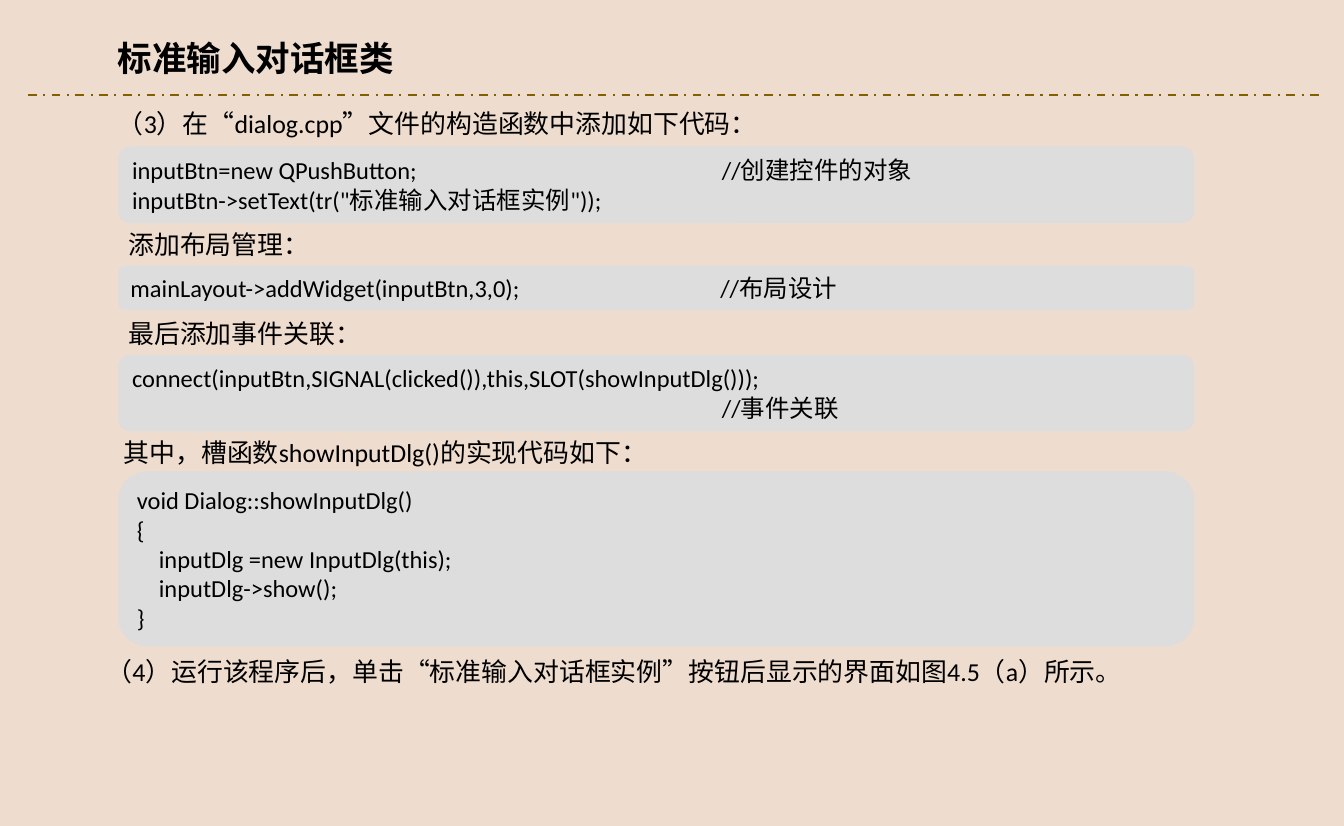
from pptx import Presentation
from pptx.dml.color import RGBColor
from pptx.enum.dml import MSO_LINE
from pptx.enum.shapes import MSO_CONNECTOR, MSO_SHAPE
from pptx.enum.text import MSO_ANCHOR, MSO_AUTO_SIZE, PP_ALIGN
from pptx.oxml.ns import qn
from pptx.util import Pt
from lxml.etree import SubElement

FONT = "Calibri"
CODE_LEFT, CODE_WIDTH = 82.2, 749
COMMENT_TAB = 410.5


def color(value):
    """Turn a hex string into a colour."""
    return RGBColor.from_string(value)


def format_para(para, text, size=18, bold=False):
    """Write one left-aligned paragraph in the slide font."""
    para.text = text
    para.alignment = PP_ALIGN.LEFT
    para.font.name = FONT
    para.font.size = Pt(size)
    para.font.bold = bold
    para.font.color.rgb = color("000000")


def add_comment_tab(para):
    """Set the tab stop where code comments start."""
    stops = SubElement(para._p.get_or_add_pPr(), qn("a:tabLst"))
    SubElement(stops, qn("a:tab"), pos=str(Pt(COMMENT_TAB)), algn="l")


def add_text(page, text, left, top, width, height=29, wrap=False, **style):
    """Add a single-paragraph text box."""
    box = page.shapes.add_textbox(Pt(left), Pt(top), Pt(width), Pt(height))
    box.text_frame.word_wrap = wrap
    box.text_frame.auto_size = MSO_AUTO_SIZE.SHAPE_TO_FIT_TEXT
    format_para(box.text_frame.paragraphs[0], text, **style)


def add_code(page, lines, top, height):
    """Add a rounded grey panel with lines of code."""
    box = page.shapes.add_shape(MSO_SHAPE.ROUNDED_RECTANGLE, Pt(CODE_LEFT),
                                Pt(top), Pt(CODE_WIDTH), Pt(height))
    box.shadow.inherit = False
    box.fill.solid()
    box.fill.fore_color.rgb = color("DDDDDD")
    box.line.fill.background()
    frame = box.text_frame
    frame.word_wrap = True
    frame.auto_size = MSO_AUTO_SIZE.SHAPE_TO_FIT_TEXT
    frame.vertical_anchor = MSO_ANCHOR.MIDDLE
    for index, line in enumerate(lines):
        para = frame.add_paragraph() if index else frame.paragraphs[0]
        if "\t" in line:
            add_comment_tab(para)
        format_para(para, line, size=17)


def add_rule(page, left, right, top):
    """Add the dash-dot rule under the title."""
    rule = page.shapes.add_connector(MSO_CONNECTOR.STRAIGHT, Pt(left), Pt(top),
                                     Pt(right), Pt(top))
    rule.line.color.rgb = color("806000")
    rule.line.width = Pt(1.5)
    rule.line.dash_style = MSO_LINE.DASH_DOT
    SubElement(rule._element.spPr, qn("a:effectLst"))


def main():
    """Build the slide and save the deck."""
    deck = Presentation()
    deck.slide_width, deck.slide_height = Pt(935.38), Pt(575)
    page = deck.slides.add_slide(deck.slide_layouts[6])
    page.background.fill.solid()
    page.background.fill.fore_color.rgb = color("EEDCCE")

    add_rule(page, 19.5, 921, 66.2)
    add_text(page, "标准输入对话框类", 75, 22.3, 251, 36, wrap=True, size=24, bold=True)
    add_text(page, "（3）在“dialog.cpp”文件的构造函数中添加如下代码：", 75, 71.7, 464)
    add_code(page, ["inputBtn=new QPushButton;\t//创建控件的对象",
                    "inputBtn->setText(tr(\"标准输入对话框实例\"));"], 102, 53.3)
    add_text(page, "添加布局管理：", CODE_LEFT, 155.5, 142)
    add_code(page, ["mainLayout->addWidget(inputBtn,3,0);\t//布局设计"], 185, 31)
    add_text(page, "最后添加事件关联：", CODE_LEFT, 217.8, 178)
    add_code(page, ["connect(inputBtn,SIGNAL(clicked()),this,SLOT(showInputDlg()));",
                    "\t//事件关联"], 246.8, 53.3)
    add_text(page, "其中，槽函数showInputDlg()的实现代码如下：", 79, 300.2, 382)
    add_code(page, ["void Dialog::showInputDlg()",
                    "{",
                    "    inputDlg =new InputDlg(this);",
                    "    inputDlg->show();",
                    "}"], 328.2, 121.7)
    add_text(page, "（4）运行该程序后，单击“标准输入对话框实例”按钮后显示的界面如图4.5（a）所示。",
             67, 452.7, 752, wrap=True)
    deck.save("out.pptx")


if __name__ == "__main__":
    main()
